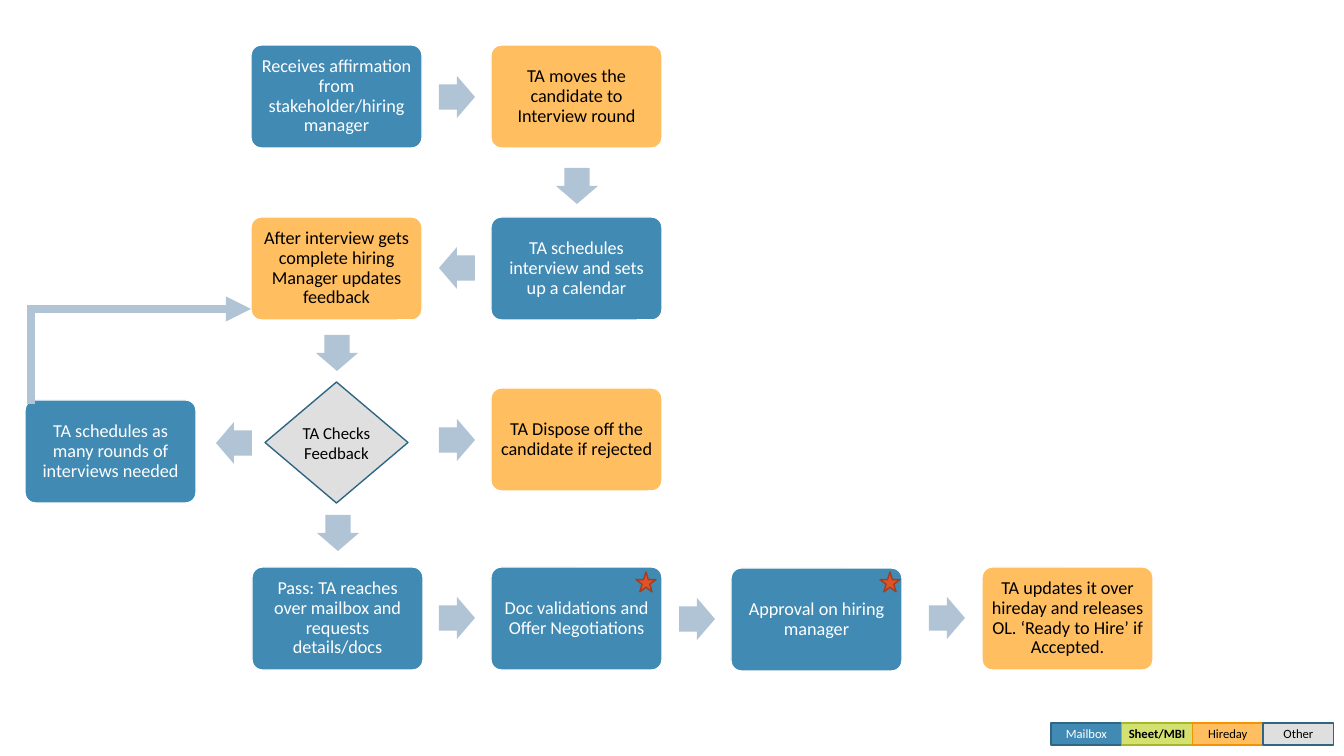
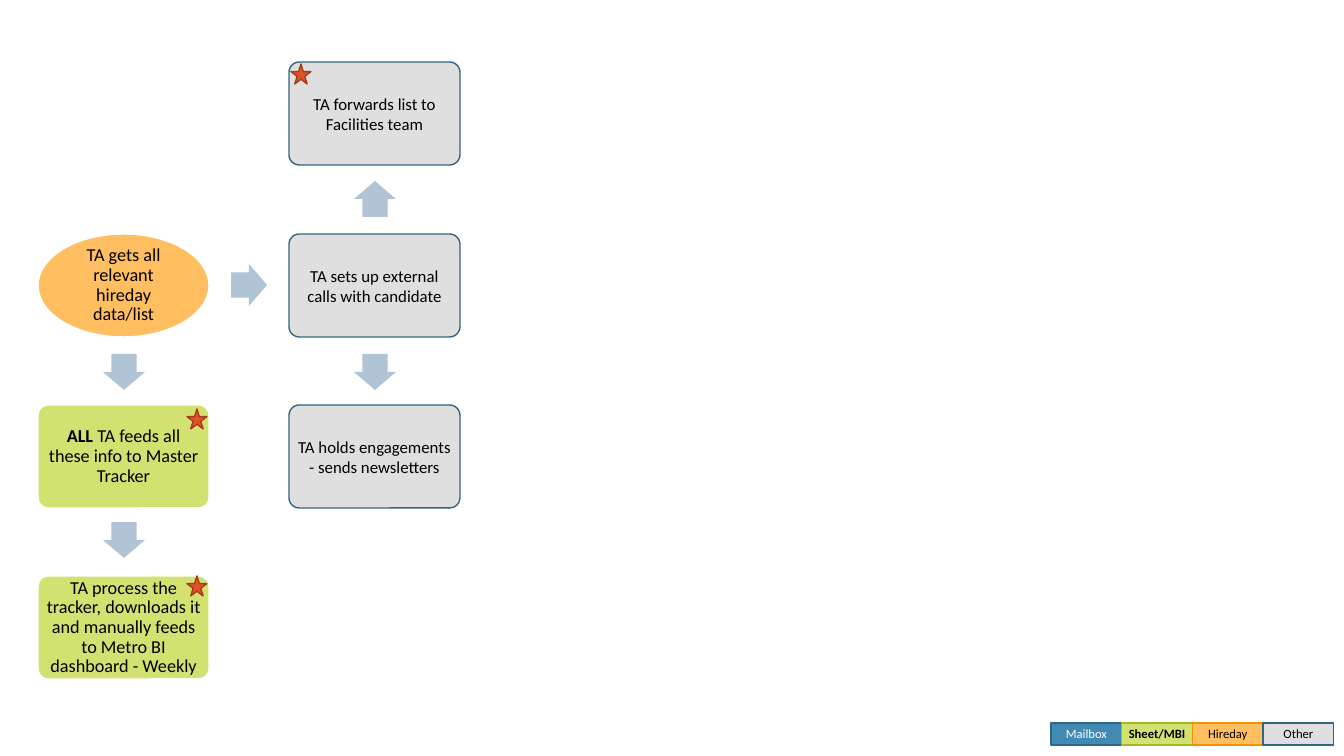
from collections import namedtuple

from lxml import etree
from pptx import Presentation
from pptx.dml.color import RGBColor
from pptx.enum.shapes import MSO_CONNECTOR, MSO_SHAPE
from pptx.enum.text import MSO_ANCHOR, PP_ALIGN
from pptx.oxml.ns import qn
from pptx.util import Pt

ROUNDED, DIAMOND, ELLIPSE = MSO_SHAPE.ROUNDED_RECTANGLE, MSO_SHAPE.DIAMOND, MSO_SHAPE.OVAL
RECTANGLE, STAR = MSO_SHAPE.RECTANGLE, MSO_SHAPE.STAR_5_POINT
ARROWS = {
    "right": MSO_SHAPE.RIGHT_ARROW, "left": MSO_SHAPE.LEFT_ARROW,
    "up": MSO_SHAPE.UP_ARROW, "down": MSO_SHAPE.DOWN_ARROW,
}
ELBOW = MSO_CONNECTOR.ELBOW
CENTER, MIDDLE = PP_ALIGN.CENTER, MSO_ANCHOR.MIDDLE

# Content: tool, left, top, text, then optional outline and bold lead
Step = namedtuple("Step", "tool left top text outline lead", defaults=(ROUNDED, ""))

INTERVIEW_FLOW = {
    "steps": [
        Step("mail", 251, 45, "Receives affirmation from stakeholder/hiring manager"),
        Step("hr", 491, 45, "TA moves the candidate to Interview round"),
        Step("mail", 491, 217, "TA schedules interview and sets up a calendar"),
        Step("hr", 251, 217, "After interview gets complete hiring Manager updates feedback"),
        Step("other", 265, 382, "TA Checks Feedback", DIAMOND),
        Step("hr", 491, 388, "TA Dispose off the candidate if rejected"),
        Step("mail", 25, 400, "TA schedules as many rounds of interviews needed"),
        Step("mail", 252, 567, "Pass: TA reaches over mailbox and requests details/docs"),
        Step("mail", 491, 567, "Doc validations and Offer Negotiations"),
        Step("mail", 731, 568, "Approval on hiring manager"),
        Step("hr", 982, 567,
             "TA updates it over hireday and releases OL. ‘Ready to Hire’ if Accepted."),
    ],
    # Direction and centre of each arrow
    "arrows": [
        ("right", 457, 97), ("down", 577, 186), ("left", 457, 268), ("down", 337, 353),
        ("right", 457, 440), ("left", 234, 443), ("down", 338, 533),
        ("right", 457, 618), ("right", 697, 619), ("right", 947, 618),
    ],
    "stars": [(636, 572), (880, 572)],
    "loops": [((35, 400), (251, 309))],
}
REPORTING_FLOW = {
    "steps": [
        Step("hr", 38, 234, "TA gets all relevant hireday data/list", ELLIPSE),
        Step("sheet", 38, 405, " TA feeds all these info to Master Tracker", lead="ALL"),
        Step("sheet", 38, 576,
             "TA process the tracker, downloads it and manually feeds to Metro BI "
             "dashboard - Weekly"),
        Step("other", 289, 62, "TA forwards list to Facilities team"),
        Step("other", 289, 234, "TA sets up external calls with candidate"),
        Step("other", 289, 405, "TA holds engagements - sends newsletters"),
    ],
    "arrows": [
        ("right", 249, 285), ("down", 124, 372), ("down", 124, 540),
        ("up", 375, 199), ("down", 375, 372),
    ],
    "stars": [(187, 409), (187, 576), (291, 64)],
    "loops": [],
}
LEGEND = [("mail", "Mailbox"), ("sheet", "Sheet/MBI"), ("hr", "Hireday"), ("other", "Other")]

# Sizes in pixels
SLIDE_SIZE = (1344, 756)
STEP_SIZES = {ROUNDED: (171, 103), ELLIPSE: (171, 103), DIAMOND: (143, 121)}
STEP_INSETS = {ROUNDED: 5, ELLIPSE: 8, DIAMOND: 0}
ARROW_LENGTH, ARROW_BREADTH = 36, 42
STAR_SIZE = 20
LEGEND_LEFT, LEGEND_TOP, LEGEND_PITCH, LEGEND_HEIGHT = 1051, 723, 70.7, 22
LOOP_OFFSET = 4


class Theme:
    font = "Calibri"
    legend_size = 9
    outline_width, loop_width = 1, 6
    arrow = "B0C4D6"
    star, star_line = "DF5327", "A53D1D"
    tools = {
        "mail": {"fill": "418AB3", "line": "FFFFFF", "key": "306684", "ink": "FFFFFF",
                 "size": 13, "spacing": 0.9},
        "sheet": {"fill": "D3E171", "line": "FFFFFF", "key": "A6B727", "ink": "000000",
                  "size": 13, "spacing": 0.9},
        "hr": {"fill": "FFBF61", "line": "FFFFFF", "key": "F69200", "ink": "000000",
               "size": 13, "spacing": 0.9},
        "other": {"fill": "DFDFDF", "line": "306684", "key": "306684", "ink": "000000",
                  "size": 12, "spacing": 1.0},
    }


def px(pixels):
    return round(pixels * 914400 / 100.8)


def set_attributes(target, values):
    for name, value in values.items():
        setattr(target, name, value)


# Drawing helpers
def add_shape(slide, outline, box, fill, line=None):
    shape = slide.shapes.add_shape(outline, *map(px, box))
    shape.shadow.inherit = False
    shape.fill.solid()
    shape.fill.fore_color.rgb = RGBColor.from_string(fill)
    if line:
        shape.line.color.rgb = RGBColor.from_string(line)
        shape.line.width = Pt(Theme.outline_width)
    else:
        shape.line.fill.background()
    return shape


def write_text(shape, runs, tool, size, inset=0):
    style = Theme.tools[tool]
    frame = shape.text_frame
    margins = dict.fromkeys(
        ("margin_left", "margin_top", "margin_right", "margin_bottom"), px(inset))
    set_attributes(frame, {"word_wrap": True, "vertical_anchor": MIDDLE, **margins})
    paragraph = frame.paragraphs[0]
    set_attributes(paragraph, {"alignment": CENTER, "line_spacing": style["spacing"]})
    for text, bold in runs:
        run = paragraph.add_run()
        run.text = text
        set_attributes(run.font, {"name": Theme.font, "size": Pt(size), "bold": bold})
        run.font.color.rgb = RGBColor.from_string(style["ink"])


def add_step(slide, step):
    style = Theme.tools[step.tool]
    is_diamond = step.outline == DIAMOND
    box = (step.left, step.top, *STEP_SIZES[step.outline])
    shape = add_shape(slide, step.outline, box, style["fill"], style["line"])
    if step.outline == ROUNDED:
        shape.adjustments[0] = 0.1
    runs = [(step.lead, True)] if step.lead else []
    runs.append((step.text, False))
    write_text(shape, runs, step.tool, style["size"], STEP_INSETS[step.outline])


def add_arrow(slide, direction, center_x, center_y):
    width, height = ARROW_LENGTH, ARROW_BREADTH
    if direction in ("up", "down"):
        width, height = height, width
    box = (center_x - width / 2, center_y - height / 2, width, height)
    shape = add_shape(slide, ARROWS[direction], box, Theme.arrow)
    shape.adjustments[0], shape.adjustments[1] = 0.6, 0.5


def add_loop(slide, start, end):
    connector = slide.shapes.add_connector(ELBOW, *map(px, start + end))
    connector.line.color.rgb = RGBColor.from_string(Theme.arrow)
    connector.line.width = Pt(Theme.loop_width)
    properties = connector._element.spPr
    # The bend lies just left of the start point
    bend = round(-LOOP_OFFSET / (end[0] - start[0]) * 100000)
    guides = properties.find(qn("a:prstGeom")).get_or_add_avLst()
    etree.SubElement(guides, qn("a:gd"), name="adj1", fmla=f"val {bend}")
    line = properties.find(qn("a:ln"))
    etree.SubElement(line, qn("a:miter"), lim="800000")
    etree.SubElement(line, qn("a:tailEnd"), type="triangle")
    etree.SubElement(properties, qn("a:effectLst"))


def add_legend(slide):
    for index, (tool, label) in enumerate(LEGEND):
        style = Theme.tools[tool]
        box = (LEGEND_LEFT + index * LEGEND_PITCH, LEGEND_TOP, LEGEND_PITCH, LEGEND_HEIGHT)
        shape = add_shape(slide, RECTANGLE, box, style["fill"], style["key"])
        write_text(shape, [(label, tool == "sheet")], tool, Theme.legend_size)


def build_slide(presentation, flow):
    slide = presentation.slides.add_slide(presentation.slide_layouts[6])
    for step in flow["steps"]:
        add_step(slide, step)
    for arrow in flow["arrows"]:
        add_arrow(slide, *arrow)
    for loop in flow["loops"]:
        add_loop(slide, *loop)
    for left, top in flow["stars"]:
        add_shape(slide, STAR, (left, top, STAR_SIZE, STAR_SIZE), Theme.star, Theme.star_line)
    add_legend(slide)


# Build and save
presentation = Presentation()
presentation.slide_width, presentation.slide_height = map(px, SLIDE_SIZE)
for flow in (INTERVIEW_FLOW, REPORTING_FLOW):
    build_slide(presentation, flow)
presentation.save("out.pptx")
